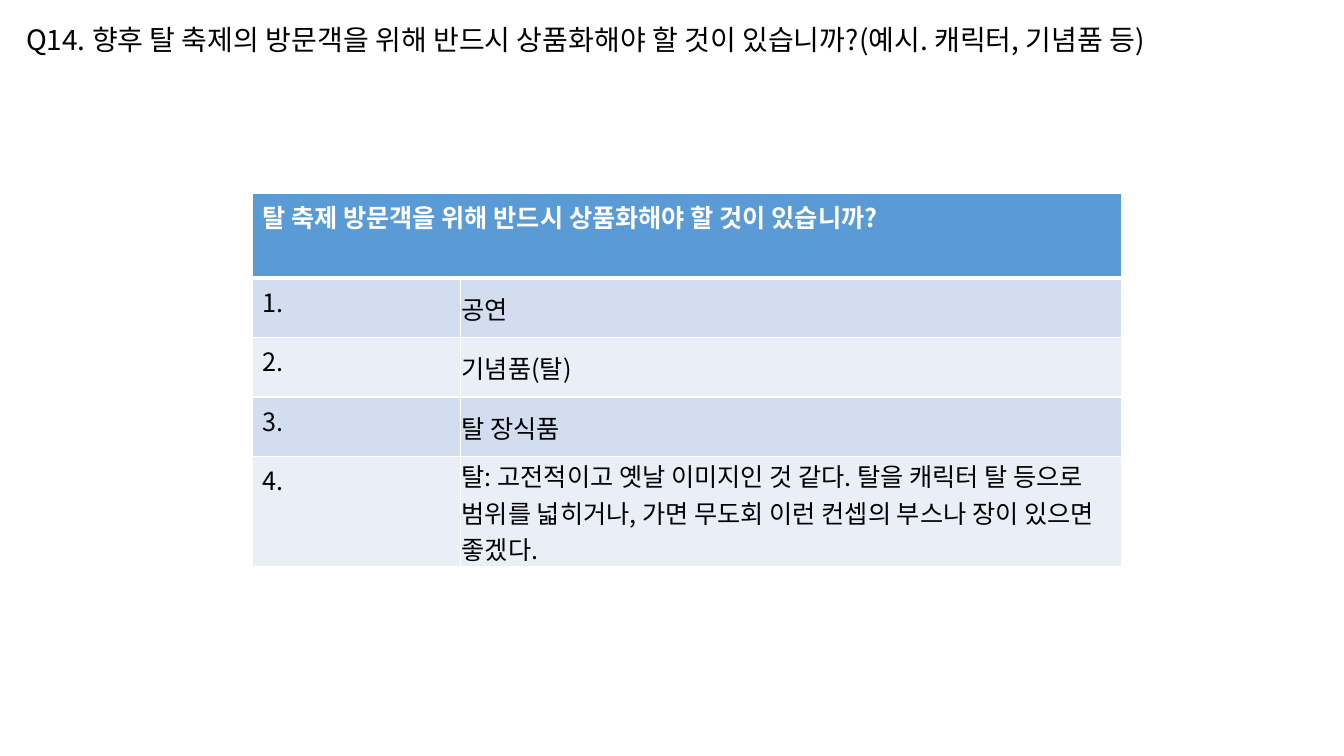
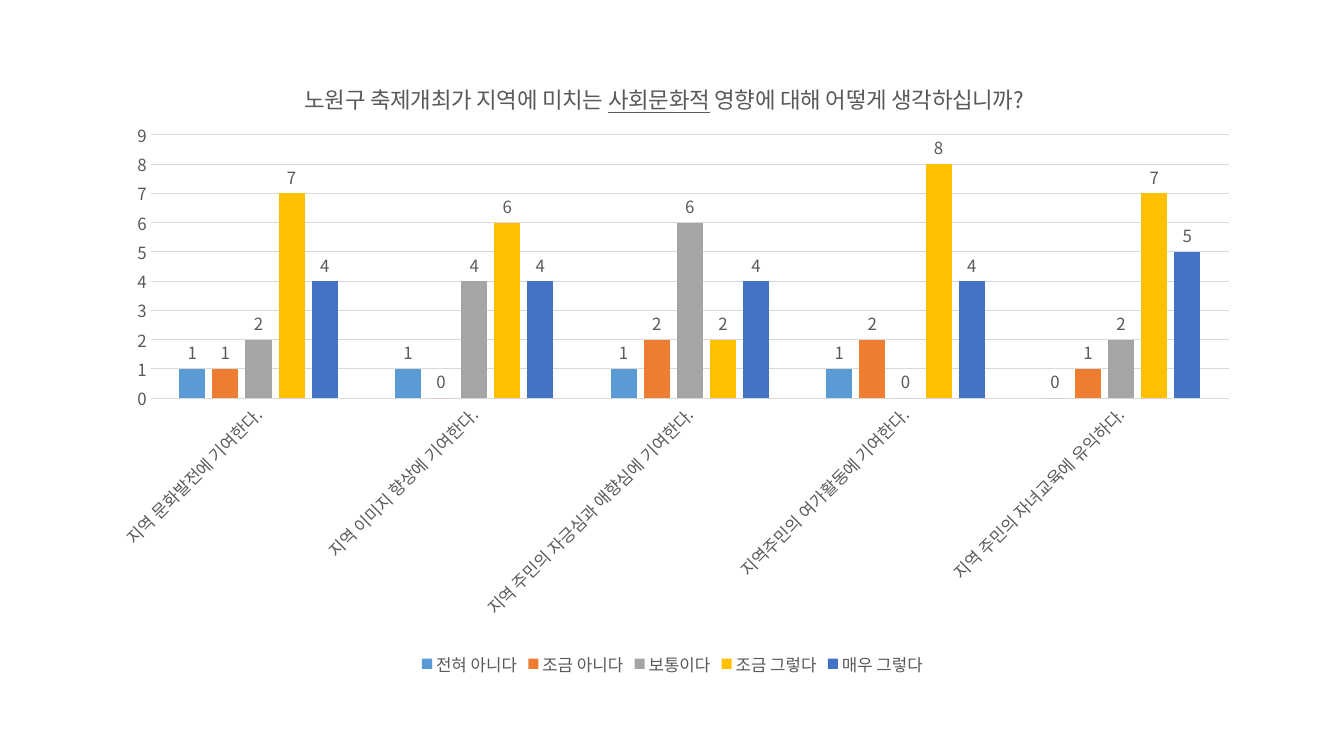
from lxml import etree
from pptx import Presentation, util as u
from pptx.chart.data import CategoryChartData
from pptx.dml.color import RGBColor
from pptx.enum import chart as ch, text
from pptx.oxml.ns import qn

PX = 9144  # EMU in one px: 100 px to the inch
FONT = "Noto Sans CJK KR"
BLACK = RGBColor(0x00, 0x00, 0x00)
WHITE = RGBColor(0xFF, 0xFF, 0xFF)
GREY = RGBColor(0x59, 0x59, 0x59)
GRID = RGBColor(0xD9, 0xD9, 0xD9)
BLUE = RGBColor(0x5B, 0x9B, 0xD5)
ORANGE = RGBColor(0xED, 0x7D, 0x31)
SILVER = RGBColor(0xA5, 0xA5, 0xA5)
GOLD = RGBColor(0xFF, 0xC0, 0x00)
NAVY = RGBColor(0x44, 0x72, 0xC4)
BANDS = (RGBColor(0xD2, 0xDE, 0xEF), RGBColor(0xEA, 0xEF, 0xF7))

QUESTION = "Q14. 향후 탈 축제의 방문객을 위해 반드시 상품화해야 할 것이 있습니까?(예시. 캐릭터, 기념품 등)"
TABLE_HEADING = "탈 축제 방문객을 위해 반드시 상품화해야 할 것이 있습니까?"
ANSWERS = (
    "공연",
    "기념품(탈)",
    "탈 장식품",
    "탈: 고전적이고 옛날 이미지인 것 같다. 탈을 캐릭터 탈 등으로 범위를 넓히거나, "
    "가면 무도회 이런 컨셉의 부스나 장이 있으면 좋겠다.",
)
COLUMN_WIDTHS = (207, 655)
ROW_HEIGHTS = (84, 59, 59, 59, 109)

CHART_TITLE = ("노원구 축제개최가 지역에 미치는 ", "사회문화적", " 영향에 대해 어떻게 생각하십니까?")
STATEMENTS = (
    "지역 문화발전에 기여한다.",
    "지역 이미지 향상에 기여한다.",
    "지역 주민의 자긍심과 애향심에 기여한다.",
    "지역주민의 여가활동에 기여한다.",
    "지역 주민의 자녀교육에 유익하다.",
)
RESPONSES = (
    ("전혀 아니다", (1, 1, 1, 1, 0), BLUE),
    ("조금 아니다", (1, 0, 2, 2, 1), ORANGE),
    ("보통이다", (2, 4, 6, 0, 2), SILVER),
    ("조금 그렇다", (7, 6, 2, 8, 7), GOLD),
    ("매우 그렇다", (4, 4, 4, 4, 5), NAVY),
)


def px(*lengths):
    return [u.Emu(length * PX) for length in lengths]


def style_font(font, size, color, bold=False):
    """Set the font for Latin and for Korean text."""
    font.name, font.size, font.bold = FONT, u.Pt(size), bold
    font.color.rgb = color
    etree.SubElement(font._rPr, qn("a:ea")).set("typeface", FONT)


def add_question(slide, question):
    box = slide.shapes.add_textbox(*px(16, 17, 1259, 44))
    frame = box.text_frame
    frame.word_wrap = False
    frame.auto_size = text.MSO_AUTO_SIZE.SHAPE_TO_FIT_TEXT
    frame.text = question
    style_font(frame.paragraphs[0].runs[0].font, 20, BLACK)


def add_cell_borders(cell, **widths):
    """Draw white borders; widths in points are keyed L, R, T and B."""
    properties = cell._tc.get_or_add_tcPr()
    for side, width in widths.items():
        line = etree.SubElement(properties, qn("a:ln" + side), w=str(u.Pt(width)))
        fill = etree.SubElement(line, qn("a:solidFill"))
        etree.SubElement(fill, qn("a:srgbClr"), val=str(WHITE))


def fill_cell(cell, words, background, color=BLACK, bold=False):
    cell.fill.solid()
    cell.fill.fore_color.rgb = background
    cell.text = words
    style_font(cell.text_frame.paragraphs[0].runs[0].font, 18, color, bold)


def add_answer_table(slide, heading, answers):
    table = slide.shapes.add_table(
        len(answers) + 1, 2,
        *px(250, 192, sum(COLUMN_WIDTHS), sum(ROW_HEIGHTS))).table
    for column, width in zip(table.columns, px(*COLUMN_WIDTHS)):
        column.width = width
    for row, height in zip(table.rows, px(*ROW_HEIGHTS)):
        row.height = height
    for r in range(len(answers) + 1):
        for c in range(2):
            add_cell_borders(table.cell(r, c), L=1, R=1,
                             T=3 if r == 1 else 1, B=3 if r == 0 else 1)

    table.cell(0, 0).merge(table.cell(0, 1))
    fill_cell(table.cell(0, 0), heading, BLUE, WHITE, bold=True)
    for number, answer in enumerate(answers, 1):
        band = BANDS[(number - 1) % 2]
        fill_cell(table.cell(number, 0), f"{number}.", band)
        answer_cell = table.cell(number, 1)
        fill_cell(answer_cell, answer, band)
        answer_cell.vertical_anchor = text.MSO_ANCHOR.MIDDLE
        answer_cell.margin_left, answer_cell.margin_right = px(1, 1)
        answer_cell.margin_top, answer_cell.margin_bottom = px(1, 0)


def place_chart_part(part, inner=False, **fractions):
    """Fix a chart part's place, in fractions of the chart's size."""
    for old in part.findall(qn("c:layout")):
        part.remove(old)
    layout = etree.Element(qn("c:layout"))
    manual = etree.SubElement(layout, qn("c:manualLayout"))
    if inner:
        etree.SubElement(manual, qn("c:layoutTarget"), val="inner")
    for key in ("x", "y"):
        etree.SubElement(manual, qn(f"c:{key}Mode"), val="edge")
    for key, value in fractions.items():
        etree.SubElement(manual, qn(f"c:{key}"), val=str(value))
    text_part = part.find(qn("c:tx"))
    part.insert(0 if text_part is None else 1, layout)


def add_chart_title(chart, pieces):
    """Write the title with its middle piece underlined."""
    paragraph = chart.chart_title.text_frame.paragraphs[0]
    for i, piece in enumerate(pieces):
        run = paragraph.add_run()
        run.text = piece
        style_font(run.font, 16, GREY)
        run.font.underline = i == 1
    chart.chart_title.include_in_layout = False
    place_chart_part(chart.chart_title._element, x=0.18, y=0.04)


def style_axes(chart):
    categories, values = chart.category_axis, chart.value_axis
    for axis in (categories, values):
        axis.major_tick_mark = axis.minor_tick_mark = ch.XL_TICK_MARK.NONE
        style_font(axis.tick_labels.font, 12, GREY)
    values.minimum_scale, values.maximum_scale, values.major_unit = 0, 9, 1
    values.has_major_gridlines = True
    values.format.line.fill.background()
    for line in (categories.format.line, values.major_gridlines.format.line):
        line.color.rgb = GRID
        line.width = u.Pt(0.75)
    slant = categories._element.find(qn("c:txPr")).find(qn("a:bodyPr"))
    slant.set("rot", str(-45 * 60000))
    slant.set("vert", "horz")


def style_responses(plot):
    plot.gap_width, plot.overlap = 219, -27
    plot.vary_by_categories = False
    for series, (_, _, color) in zip(plot.series, RESPONSES):
        series.format.fill.solid()
        series.format.fill.fore_color.rgb = color
        series.invert_if_negative = False
        labels = series.data_labels
        labels.show_value = True
        labels.position = ch.XL_LABEL_POSITION.OUTSIDE_END
        style_font(labels.font, 12, GREY)


def add_response_chart(slide):
    data = CategoryChartData(number_format="General")
    data.categories = STATEMENTS
    for name, counts, _ in RESPONSES:
        data.add_series(name, counts)
    chart = slide.shapes.add_chart(
        ch.XL_CHART_TYPE.COLUMN_CLUSTERED, *px(92, 53, 1150, 622), data).chart
    style_font(chart.font, 10, BLACK)
    add_chart_title(chart, CHART_TITLE)
    style_axes(chart)
    style_responses(chart.plots[0])
    chart.has_legend = True
    chart.legend.position = ch.XL_LEGEND_POSITION.BOTTOM
    chart.legend.include_in_layout = False
    style_font(chart.legend.font, 12, GREY)
    plot_area = chart._chartSpace.chart.plotArea
    place_chart_part(plot_area, inner=True, x=0.05, y=0.13, w=0.93, h=0.42)


def main():
    deck = Presentation()
    deck.slide_width, deck.slide_height = px(1333, 750)
    blank = deck.slide_layouts[6]

    answers_slide = deck.slides.add_slide(blank)
    add_answer_table(answers_slide, TABLE_HEADING, ANSWERS)
    add_question(answers_slide, QUESTION)

    add_response_chart(deck.slides.add_slide(blank))
    deck.save("out.pptx")


if __name__ == "__main__":
    main()
